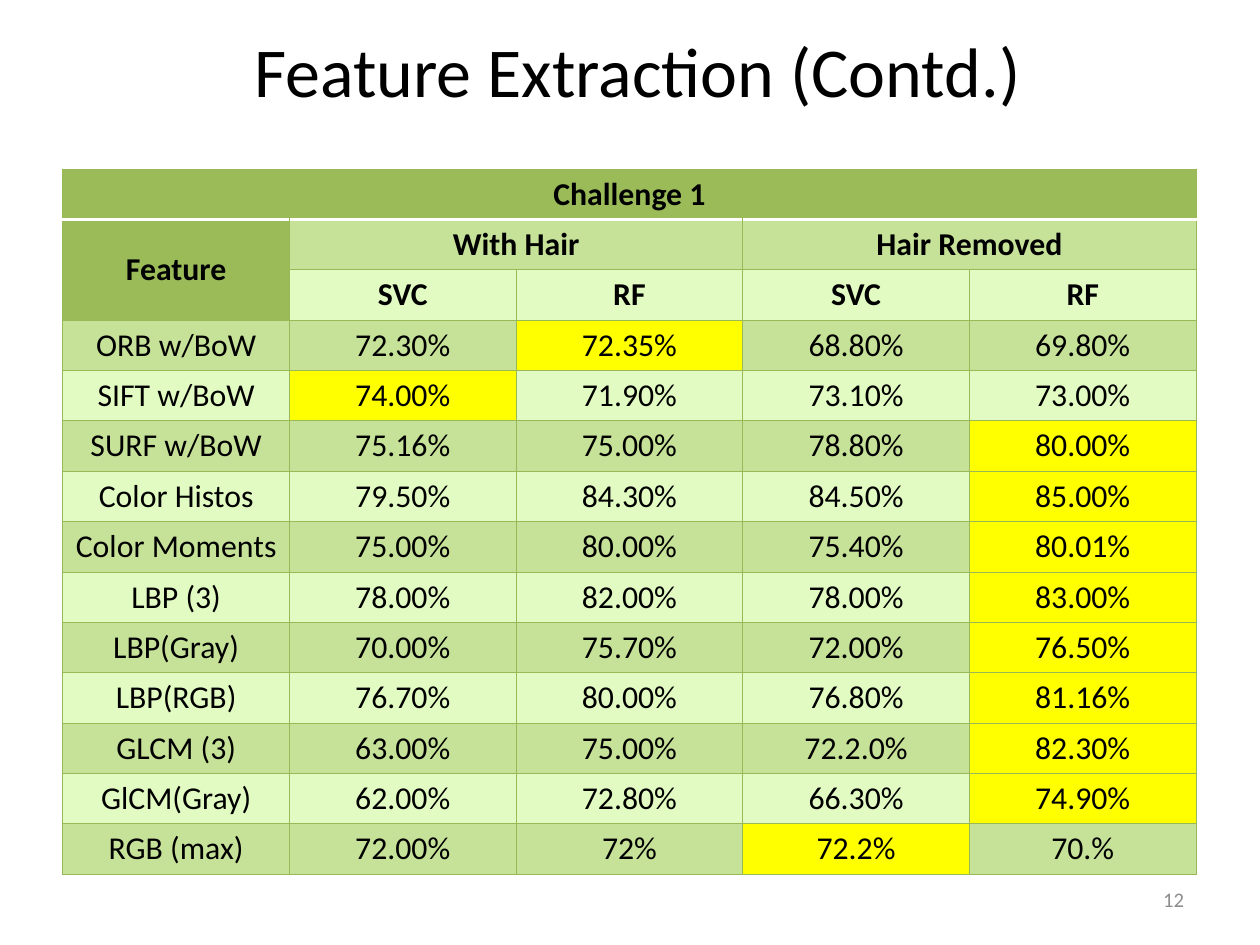
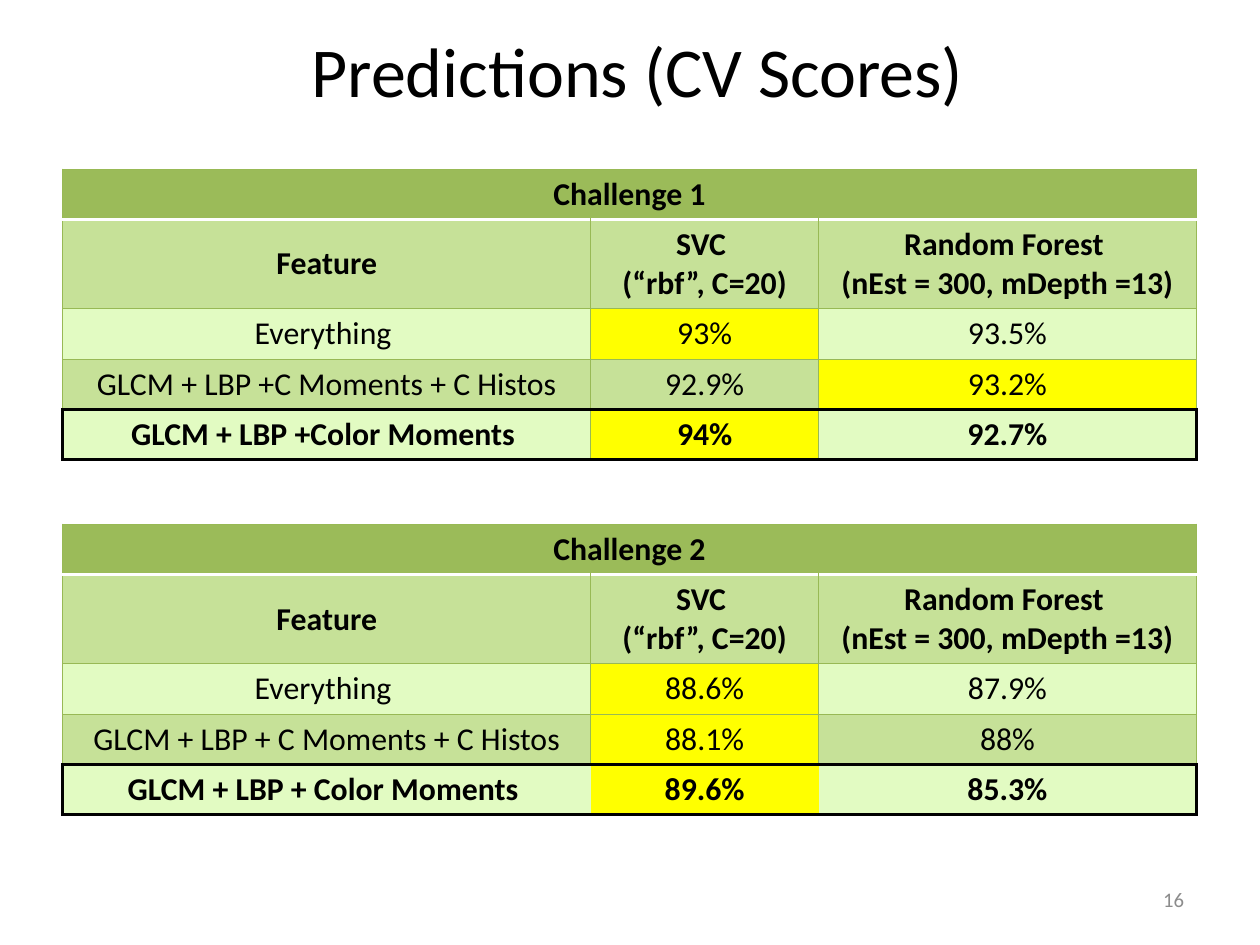
from dataclasses import dataclass

from lxml.etree import SubElement
from pptx import Presentation
from pptx.dml.color import RGBColor
from pptx.enum.text import MSO_ANCHOR, PP_ALIGN
from pptx.oxml.ns import qn
from pptx.presentation import Presentation as Deck
from pptx.slide import Slide
from pptx.table import Table
from pptx.text.text import TextFrame
from pptx.util import Pt

FONT = "Calibri"
BLACK = RGBColor(0x00, 0x00, 0x00)
WHITE = RGBColor(0xFF, 0xFF, 0xFF)
GRAY = RGBColor(0x8C, 0x8C, 0x8C)
GREEN = RGBColor(0x9B, 0xBB, 0x59)
BAND_GREEN = RGBColor(0xC6, 0xE1, 0x98)
PALE_GREEN = RGBColor(0xE2, 0xFB, 0xC2)
GRID_GREEN = RGBColor(0x98, 0xB9, 0x55)
YELLOW = RGBColor(0xFF, 0xFF, 0x00)

SLIDE_WIDTH = 793.75
SLIDE_HEIGHT = 595.25
TABLE_LEFT = 39.6
TABLE_TOP = 106.56
SECOND_TABLE_TOP = 330.2
ROW_HEIGHT = 31.73
TWO_LINE_HEIGHT = 56.2


@dataclass(frozen=True)
class Line:
    color: RGBColor
    width: float


GRID = Line(GRID_GREEN, 0.75)
HEADER_RULE = Line(WHITE, 2)
OUTLINE = Line(BLACK, 2.25)


@dataclass(frozen=True)
class Row:
    """One table row; best is the column of the highlighted score."""
    cells: tuple[str, ...]
    best: int | None = None
    bold: bool = False
    height: float = ROW_HEIGHT


@dataclass(frozen=True)
class ScoreTable:
    top: float
    widths: tuple[float, ...]
    rows: tuple[Row, ...]
    merges: tuple[tuple[int, int, int, int], ...]
    green_cells: tuple[tuple[int, int], ...] = ()
    outlined_row: int | None = None
    outlined_dividers: bool = True


def write(frame: TextFrame, text: str, *, size: float = 20, color: RGBColor = BLACK,
          bold: bool = False, align: PP_ALIGN = PP_ALIGN.CENTER) -> None:
    frame.text = text
    for paragraph in frame.paragraphs:
        paragraph.alignment = align
        for run in paragraph.runs:
            run.font.name = FONT
            run.font.size = Pt(size)
            run.font.bold = bold
            run.font.color.rgb = color


def add_label(slide: Slide, text: str, left: float, top: float, width: float,
              height: float, **text_format) -> None:
    frame = slide.shapes.add_textbox(Pt(left), Pt(top), Pt(width), Pt(height)).text_frame
    frame.word_wrap = True
    frame.vertical_anchor = MSO_ANCHOR.MIDDLE
    frame.margin_left = frame.margin_right = Pt(7.9)
    frame.margin_top = frame.margin_bottom = Pt(4)
    write(frame, text, **text_format)


def cell_borders(spec: ScoreTable, row: int, column: int) -> dict[str, Line | None]:
    """Choose the line on each side of a cell; None means no line."""
    borders: dict[str, Line | None] = dict.fromkeys(("L", "R", "T", "B"), GRID)
    if row == 0:
        borders["B"] = HEADER_RULE
    if spec.outlined_row is not None:
        if row == spec.outlined_row - 1:
            borders["B"] = OUTLINE
        elif row == spec.outlined_row:
            divider = GRID if spec.outlined_dividers else None
            borders = {
                "L": OUTLINE if column == 0 else divider,
                "R": OUTLINE if column == len(spec.widths) - 1 else divider,
                "T": OUTLINE,
                "B": OUTLINE,
            }
    return borders


def draw_borders(cell, borders: dict[str, Line | None]) -> None:
    properties = cell._tc.get_or_add_tcPr()
    for side, line in borders.items():
        edge = SubElement(properties, qn(f"a:ln{side}"))
        if line is None:
            SubElement(edge, qn("a:noFill"))
        else:
            edge.set("w", str(Pt(line.width)))
            fill = SubElement(edge, qn("a:solidFill"))
            SubElement(fill, qn("a:srgbClr")).set("val", str(line.color))


def cell_fill(spec: ScoreTable, row: int, column: int) -> RGBColor:
    if row == 0 or (row, column) in spec.green_cells:
        return GREEN
    if spec.rows[row].best == column:
        return YELLOW
    return BAND_GREEN if row % 2 else PALE_GREEN


def add_score_table(slide: Slide, spec: ScoreTable) -> None:
    height = sum(row.height for row in spec.rows)
    table: Table = slide.shapes.add_table(
        len(spec.rows), len(spec.widths), Pt(TABLE_LEFT), Pt(spec.top),
        Pt(sum(spec.widths)), Pt(height)).table
    table.first_row = table.horz_banding = False
    for column, width in zip(table.columns, spec.widths):
        column.width = Pt(width)
    for row_index, row in enumerate(spec.rows):
        table.rows[row_index].height = Pt(row.height)
        for column_index, text in enumerate(row.cells):
            cell = table.cell(row_index, column_index)
            cell.margin_left = cell.margin_right = Pt(5)
            cell.margin_top = cell.margin_bottom = Pt(3.6)
            cell.vertical_anchor = MSO_ANCHOR.MIDDLE
            draw_borders(cell, cell_borders(spec, row_index, column_index))
            cell.fill.solid()
            cell.fill.fore_color.rgb = cell_fill(spec, row_index, column_index)
            if text:
                write(cell.text_frame, text, bold=row.bold)
    for first_row, first_column, last_row, last_column in spec.merges:
        table.cell(first_row, first_column).merge(table.cell(last_row, last_column))


def add_slide(deck: Deck, title: str, number: int, *tables: ScoreTable) -> None:
    slide = deck.slides.add_slide(deck.slide_layouts[6])
    add_label(slide, title, 44.64, 14.4, 714.24, 59.04, size=44.1)
    for table in tables:
        add_score_table(slide, table)
    add_label(slide, str(number), 568.8, 550.5, 185, 31.7,
              size=13, color=GRAY, align=PP_ALIGN.RIGHT)


def prediction_table(top: float, title: str, *scores: Row,
                     outlined_dividers: bool) -> ScoreTable:
    headings = ("Feature", "SVC \n(“rbf”, C=20)", "Random Forest \n(nEst = 300, mDepth =13)")
    rows = (
        Row((title, "", ""), bold=True),
        Row(headings, bold=True, height=TWO_LINE_HEIGHT),
        *scores,
    )
    return ScoreTable(top, (332.5, 143.75, 237.75), rows, merges=((0, 0, 0, 2),),
                      outlined_row=len(rows) - 1, outlined_dividers=outlined_dividers)


FEATURE_SCORES = ScoreTable(
    TABLE_TOP,
    (142.8,) * 5,
    (
        Row(("Challenge 1", "", "", "", ""), bold=True),
        Row(("Feature", "With Hair", "", "Hair Removed", ""), bold=True),
        Row(("", "SVC", "RF", "SVC", "RF"), bold=True),
        Row(("ORB w/BoW", "72.30%", "72.35%", "68.80%", "69.80%"), 2),
        Row(("SIFT w/BoW", "74.00%", "71.90%", "73.10%", "73.00%"), 1),
        Row(("SURF w/BoW", "75.16%", "75.00%", "78.80%", "80.00%"), 4),
        Row(("Color Histos", "79.50%", "84.30%", "84.50%", "85.00%"), 4),
        Row(("Color Moments", "75.00%", "80.00%", "75.40%", "80.01%"), 4),
        Row(("LBP (3)", "78.00%", "82.00%", "78.00%", "83.00%"), 4),
        Row(("LBP(Gray)", "70.00%", "75.70%", "72.00%", "76.50%"), 4),
        Row(("LBP(RGB)", "76.70%", "80.00%", "76.80%", "81.16%"), 4),
        Row(("GLCM (3)", "63.00%", "75.00%", "72.2.0%", "82.30%"), 4),
        Row(("GlCM(Gray)", "62.00%", "72.80%", "66.30%", "74.90%"), 4),
        Row(("RGB (max)", "72.00%", "72%", "72.2%", "70.%"), 3),
    ),
    merges=((0, 0, 0, 4), (1, 0, 2, 0), (1, 1, 1, 2), (1, 3, 1, 4)),
    green_cells=((1, 0), (2, 0)),
)

CHALLENGE_1 = prediction_table(
    TABLE_TOP, "Challenge 1",
    Row(("Everything ", "93%", "93.5%"), 1),
    Row(("GLCM + LBP +C Moments + C Histos", "92.9%", "93.2%"), 2),
    Row(("GLCM + LBP +Color Moments ", "94%", "92.7%"), 1, bold=True),
    outlined_dividers=True,
)

CHALLENGE_2 = prediction_table(
    SECOND_TABLE_TOP, "Challenge 2",
    Row(("Everything ", "88.6%", "87.9%"), 1),
    Row(("GLCM + LBP + C Moments + C Histos", "88.1%", "88%"), 1),
    Row(("GLCM + LBP + Color Moments ", "89.6%", "85.3%"), 1, bold=True),
    outlined_dividers=False,
)


def main() -> None:
    deck = Presentation()
    deck.slide_width, deck.slide_height = Pt(SLIDE_WIDTH), Pt(SLIDE_HEIGHT)
    add_slide(deck, "Feature Extraction (Contd.)", 12, FEATURE_SCORES)
    add_slide(deck, "Predictions (CV Scores)", 16, CHALLENGE_1, CHALLENGE_2)
    deck.save("out.pptx")


if __name__ == "__main__":
    main()
